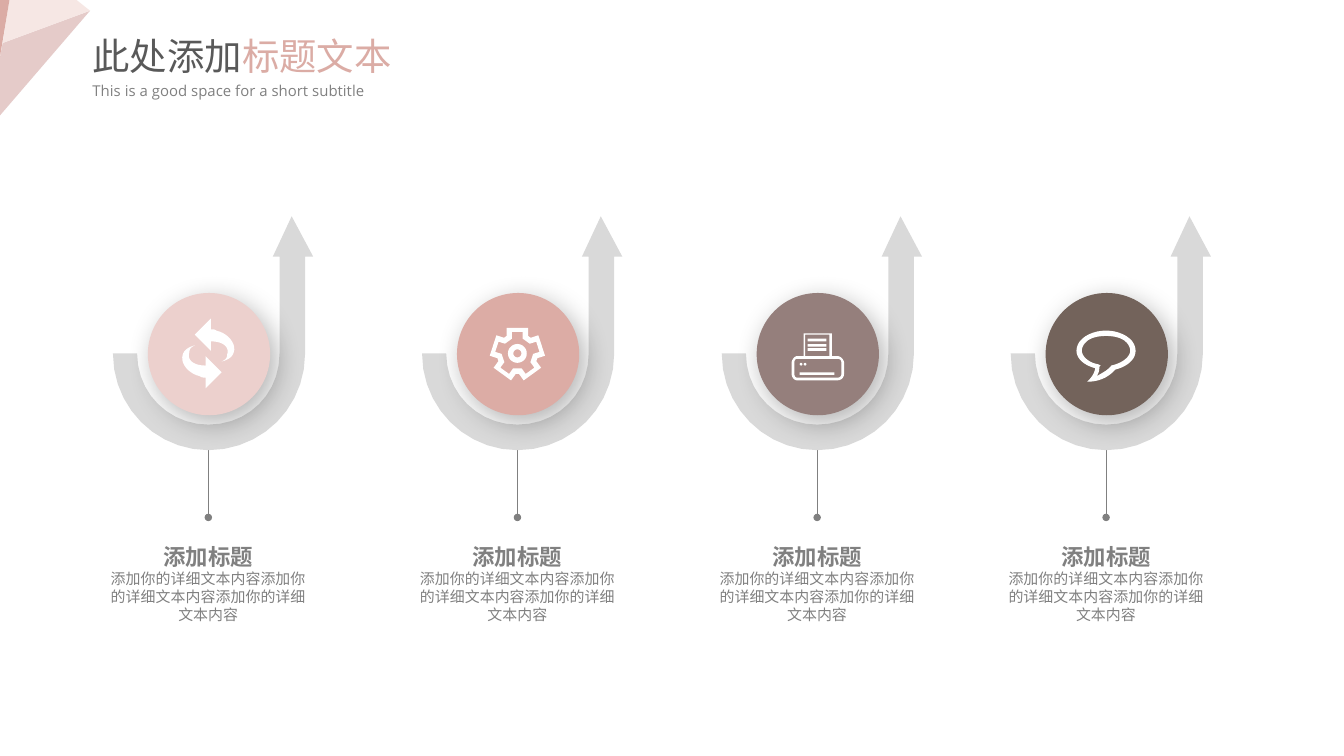
import math

from lxml import etree
from pptx import Presentation, util as u
from pptx.dml.color import RGBColor
from pptx.enum import shapes, text
from pptx.oxml import ns

WHITE = RGBColor(0xFF, 0xFF, 0xFF)
GREY = RGBColor(0x80, 0x80, 0x80)
DARK_GREY = RGBColor(0x59, 0x59, 0x59)
LIGHT_GREY = RGBColor(0xD9, 0xD9, 0xD9)
ROSE = RGBColor(0xDB, 0xAC, 0xA5)
PALE_ROSE = RGBColor(0xE5, 0xCB, 0xC9)
CREAM = RGBColor(0xF6, 0xE7, 0xE4)
BLUSH = RGBColor(0xEC, 0xD0, 0xCD)
CORAL = RGBColor(0xDC, 0xAC, 0xA5)
MAUVE = RGBColor(0x95, 0x7F, 0x7C)
BROWN = RGBColor(0x73, 0x63, 0x5B)

CENTRE_Y = 2.63
HEADING = "添加标题"
DETAIL = "添加你的详细文本内容" * 3

# Outlines: a pair is a line to that point, six numbers are a Bezier curve.
# Arrow and icon points are measured from the centre of their circle.
ARROW = [(0.62, -1.02), (0.48, -0.72), (0.53, -0.72), (0.53, 0),
         (0.53, 0.3, 0.3, 0.53, 0, 0.53), (-0.29, 0.53, -0.53, 0.3, -0.53, 0),
         (-0.71, 0), (-0.71, 0.4, -0.39, 0.72, 0, 0.72),
         (0.4, 0.72, 0.72, 0.4, 0.72, 0), (0.72, -0.72), (0.78, -0.72)]
REFRESH = [(0.06, -0.17), (0.05, -0.18, 0.03, -0.18, 0.02, -0.18),
           (0.02, -0.26), (-0.1, -0.14), (0.02, -0.02), (0.02, -0.09),
           (0.12, -0.09, 0.16, -0.04, 0.14, 0.01),
           (0.14, 0.04, 0.12, 0.05, 0.1, 0.06),
           (0.14, 0.05, 0.18, 0.03, 0.19, -0.01),
           (0.21, -0.07, 0.15, -0.15, 0.06, -0.17)]
BUBBLE = [
    [(-0.14, 0.21), (-0.14, 0.21, -0.09, 0.17, -0.08, 0.11),
     (-0.16, 0.09, -0.22, 0.04, -0.22, -0.02),
     (-0.22, -0.11, -0.11, -0.17, 0, -0.17),
     (0.11, -0.17, 0.22, -0.11, 0.22, -0.02),
     (0.22, 0.05, 0.15, 0.1, 0.07, 0.12),
     (-0.01, 0.21, -0.11, 0.21, -0.13, 0.21)],
    [(-0.13, -0.1), (-0.16, -0.08, -0.18, -0.05, -0.18, -0.02),
     (-0.18, 0.02, -0.13, 0.07, -0.06, 0.08), (-0.04, 0.09), (-0.05, 0.1),
     (-0.05, 0.12, -0.05, 0.14, -0.07, 0.17),
     (-0.04, 0.15, 0.01, 0.13, 0.04, 0.09),
     (0.13, 0.07, 0.18, 0.02, 0.18, -0.02),
     (0.18, -0.05, 0.16, -0.08, 0.13, -0.1),
     (0.1, -0.12, 0.05, -0.13, 0, -0.13),
     (-0.05, -0.13, -0.1, -0.12, -0.13, -0.1)]]
PRINTER = [
    [(0.15, 0.02), (0.11, 0.02), (0.11, -0.15), (-0.1, -0.15), (-0.1, 0.02),
     (-0.15, 0.02), (-0.17, 0.02, -0.19, 0.05, -0.19, 0.07), (-0.19, 0.15),
     (-0.19, 0.18, -0.17, 0.2, -0.15, 0.2), (0.15, 0.2),
     (0.18, 0.2, 0.2, 0.18, 0.2, 0.15), (0.2, 0.07),
     (0.2, 0.05, 0.18, 0.02, 0.15, 0.02)],
    [(-0.09, -0.14), (0.09, -0.14), (0.09, 0.02), (-0.09, 0.02)],
    [(0.18, 0.15), (0.18, 0.17, 0.17, 0.18, 0.15, 0.18), (-0.15, 0.18),
     (-0.16, 0.18, -0.17, 0.17, -0.17, 0.15), (-0.17, 0.07),
     (-0.17, 0.05, -0.16, 0.04, -0.15, 0.04), (0.15, 0.04),
     (0.17, 0.04, 0.18, 0.05, 0.18, 0.07)]]


def trace(steps, samples=10):
    """Turn an outline into points, sampling its curves."""
    points = []
    for step in steps:
        if len(step) == 2:
            points.append(step)
            continue
        corners = [points[-1], step[:2], step[2:4], step[4:]]
        for index in range(1, samples + 1):
            t = index / samples
            weights = ((1 - t) ** 3, 3 * t * (1 - t) ** 2, 3 * t * t * (1 - t), t ** 3)
            points.append(tuple(sum(w * c[axis] for w, c in zip(weights, corners))
                                for axis in (0, 1)))
    return points


def spin(points, count):
    """Repeat points count times around the centre."""
    turns = [2 * math.pi * index / count for index in range(count)]
    return [(x * math.cos(a) - y * math.sin(a), x * math.sin(a) + y * math.cos(a))
            for a in turns for x, y in points]


def write(paragraph, wording, size=8, color=GREY, bold=False, font="Open Sans"):
    run = paragraph.add_run()
    run.text = wording
    run.font.size, run.font.name, run.font.bold = u.Pt(size), font, bold
    run.font.color.rgb = color


class Painter:
    def __init__(self, slide):
        self.slide = slide

    def finish(self, shape, color):
        shape.shadow.inherit = False
        shape.fill.solid()
        shape.fill.fore_color.rgb = color
        shape.line.fill.background()
        return shape

    def preset(self, kind, left, top, width, height, color):
        box = [u.Inches(value) for value in (left, top, width, height)]
        return self.finish(self.slide.shapes.add_shape(kind, *box), color)

    def outline(self, contours, color, x=0, y=0):
        builder = None
        for steps in contours:
            points = [(u.Inches(x + a), u.Inches(y + b)) for a, b in trace(steps)]
            if builder is None:
                builder = self.slide.shapes.build_freeform(*points[0])
            else:
                builder.move_to(*points[0])
            builder.add_line_segments(points[1:], close=True)
        return self.finish(builder.convert_to_shape(), color)

    def circle(self, x, y, color):
        shape = self.preset(shapes.MSO_SHAPE.OVAL, x - 0.45, y - 0.45, 0.91, 0.91, color)
        effects = shape._element.spPr.find(ns.qn("a:effectLst"))
        shadow = etree.SubElement(effects, ns.qn("a:outerShdw"), blurRad=str(u.Pt(15)),
                                  dist=str(u.Pt(5)), dir=str(55 * 60000),
                                  algn="ctr", rotWithShape="0")
        tint = etree.SubElement(shadow, ns.qn("a:srgbClr"), val="000000")
        etree.SubElement(tint, ns.qn("a:alpha"), val="30000")

    def pin(self, x, top, bottom):
        line = self.slide.shapes.add_connector(
            shapes.MSO_CONNECTOR.STRAIGHT, u.Inches(x), u.Inches(top),
            u.Inches(x), u.Inches(bottom))
        line.line.color.rgb = GREY
        line.line.width = u.Pt(0.5)
        etree.SubElement(line.line._get_or_add_ln(), ns.qn("a:tailEnd"),
                         type="oval", w="sm", len="sm")
        etree.SubElement(line._element.spPr, ns.qn("a:effectLst"))

    def text_box(self, left, top, width, height, wrap=False):
        box = self.slide.shapes.add_textbox(*map(u.Inches, (left, top, width, height)))
        frame = box.text_frame
        frame.word_wrap = wrap
        frame.auto_size = text.MSO_AUTO_SIZE.SHAPE_TO_FIT_TEXT
        return frame

    def caption(self, x):
        frame = self.text_box(x - 0.78, 4, 1.56, 0.65, wrap=True)
        frame.margin_left = frame.margin_right = frame.margin_top = frame.margin_bottom = 0
        heading, detail = frame.paragraphs[0], frame.add_paragraph()
        heading.alignment = detail.alignment = text.PP_ALIGN.CENTER
        heading.line_spacing = 1.2
        write(heading, HEADING, size=12, bold=True)
        write(detail, DETAIL)

    # Icons
    def refresh(self, x, y):
        for sign in (1, -1):
            steps = [tuple(sign * value for value in step) for step in REFRESH]
            self.outline([steps], WHITE, x, y)

    def gear(self, x, y):
        outer = [(-0.08, -0.13), (-0.08, -0.19), (0.08, -0.19), (0.08, -0.13)]
        inner = [(-0.04, -0.11), (-0.04, -0.16), (0.04, -0.16), (0.04, -0.11)]
        self.outline([spin(outer, 5), spin(inner, 5), spin([(0, -0.07)], 36),
                      spin([(0, -0.03)], 36)], WHITE, x, y)

    def printer(self, x, y):
        bar, dot = shapes.MSO_SHAPE.RECTANGLE, shapes.MSO_SHAPE.OVAL
        self.preset(bar, x - 0.13, y + 0.14, 0.26, 0.02, WHITE)
        for top in (-0.11, -0.07, -0.04):
            self.preset(bar, x - 0.07, y + top, 0.14, 0.02, WHITE)
        self.outline(PRINTER, WHITE, x, y)
        for left in (-0.13, -0.1):
            self.preset(dot, x + left, y + 0.07, 0.02, 0.02, WHITE)

    def bubble(self, x, y):
        self.outline(BUBBLE, WHITE, x, y)


def main():
    presentation = Presentation()
    presentation.slide_width = u.Inches(10)
    presentation.slide_height = u.Inches(10) * 9 // 16
    painter = Painter(presentation.slides.add_slide(presentation.slide_layouts[6]))
    columns = [(1.55, BLUSH, painter.refresh), (3.85, CORAL, painter.gear),
               (6.08, MAUVE, painter.printer), (8.23, BROWN, painter.bubble)]

    # Pins, arrows and captions
    for x, _, _ in columns:
        painter.pin(x, 3.33, 3.85)
    for x, _, _ in columns:
        painter.outline([ARROW], LIGHT_GREY, x, CENTRE_Y)
    for x, _, _ in columns:
        painter.caption(x)

    # Corner facets
    painter.outline([[(0.67, 0.08), (0.02, 0.32), (-0.01, 0.48), (-0.01, 0.87)]], PALE_ROSE)
    painter.outline([[(0.67, 0.08), (0.57, 0), (0.07, 0), (0.02, 0.32)]], CREAM)
    painter.outline([[(0.07, 0), (-0.01, 0), (-0.01, 0.48)]], ROSE)

    # Title and subtitle
    title = painter.text_box(0.59, 0.2, 2.45, 0.44).paragraphs[0]
    write(title, "此处添加", size=20, color=DARK_GREY)
    write(title, "标题文本", size=20, color=ROSE)
    subtitle = painter.text_box(0.59, 0.56, 2.27, 0.24).paragraphs[0]
    write(subtitle, "This is a good space for a short subtitle")

    # Circles with icons
    for x, color, icon in columns:
        painter.circle(x, CENTRE_Y, color)
        icon(x, CENTRE_Y)

    presentation.save("out.pptx")


if __name__ == "__main__":
    main()
